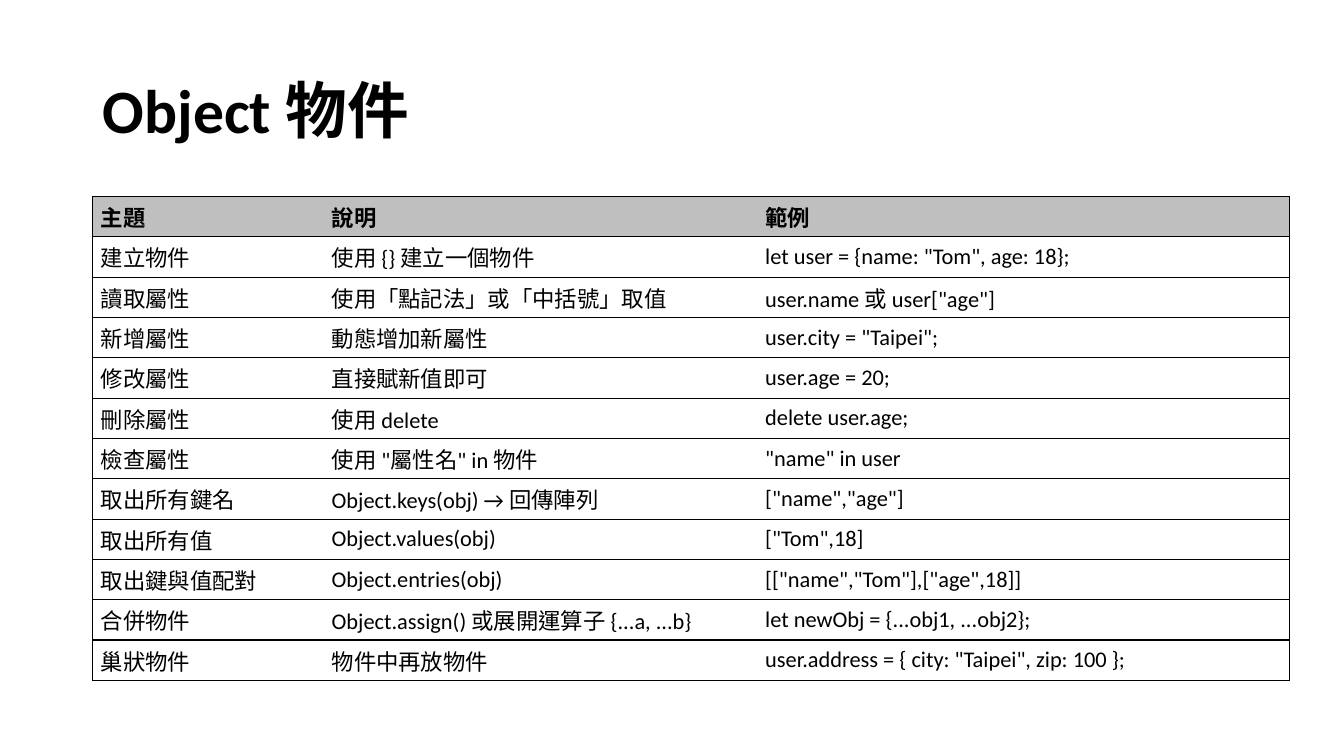
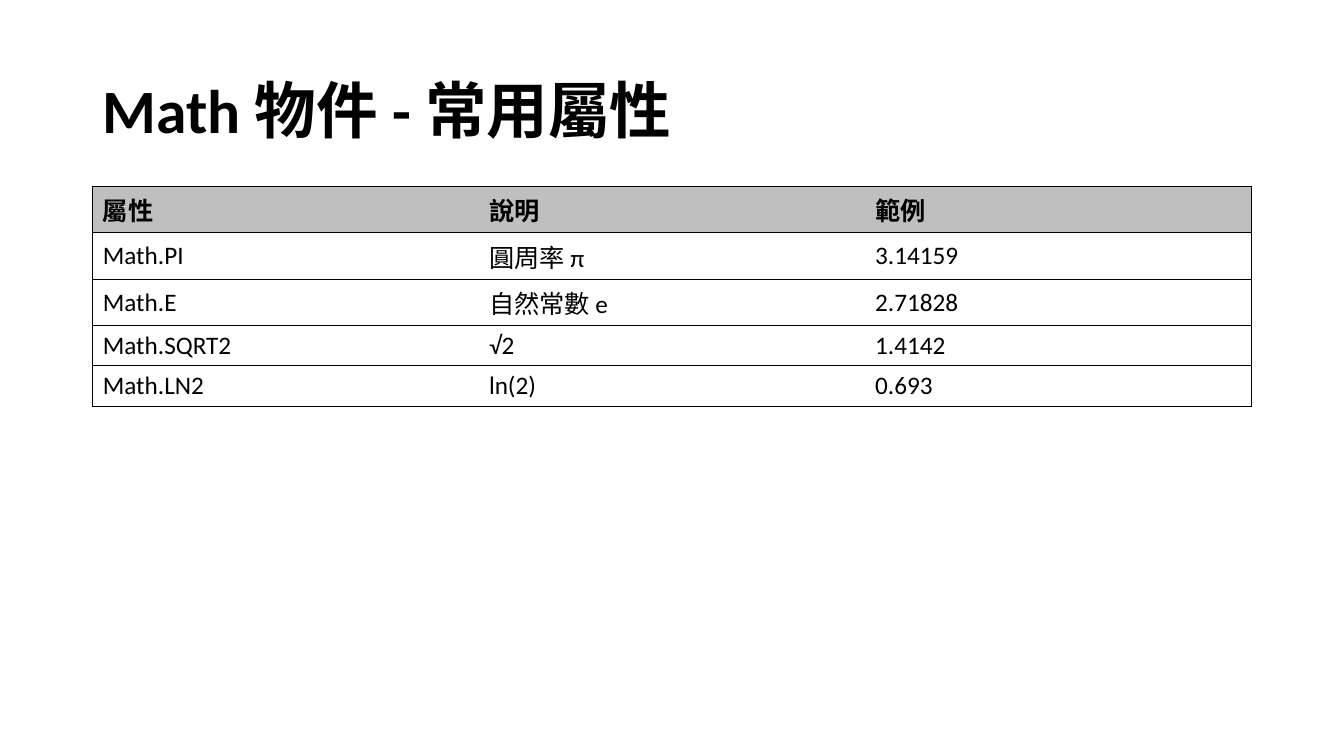
from lxml.etree import SubElement
from pptx import Presentation
from pptx.dml.color import RGBColor
from pptx.enum.lang import MSO_LANGUAGE_ID
from pptx.enum.text import MSO_ANCHOR
from pptx.oxml import parse_xml
from pptx.oxml.ns import nsdecls, qn
from pptx.util import Inches, Pt

BLACK = RGBColor(0x00, 0x00, 0x00)
GRAY = RGBColor(0xBF, 0xBF, 0xBF)
WHITE = RGBColor(0xFF, 0xFF, 0xFF)
FONT = "Calibri"

# Page grid, in inches
WIDTH, HEIGHT = 13.33, 7.5
LEFT = 0.92
SPAN = WIDTH - 2 * LEFT

# Each slide: title, table top, text size, side and top insets,
# column widths, row heights, rows
PAGES = [
    ("Object 物件", 1.95, 16, (0.08, 0.04), [2.29, 4.3, 5.28], [0.4] * 12, [
        ("主題", "說明", "範例"),
        ("建立物件", "使用 {} 建立一個物件", 'let user = {name: "Tom", age: 18};'),
        ("讀取屬性", "使用「點記法」或「中括號」取值", 'user.name 或 user["age"]'),
        ("新增屬性", "動態增加新屬性", 'user.city = "Taipei";'),
        ("修改屬性", "直接賦新值即可", "user.age = 20;"),
        ("刪除屬性", "使用 delete", "delete user.age;"),
        ("檢查屬性", '使用 "屬性名" in 物件', '"name" in user'),
        ("取出所有鍵名", "Object.keys(obj) → 回傳陣列", '["name","age"]'),
        ("取出所有值", "Object.values(obj)", '["Tom",18]'),
        ("取出鍵與值配對", "Object.entries(obj)", '[["name","Tom"],["age",18]]'),
        ("合併物件", "Object.assign() 或展開運算子 {...a, ...b}",
         "let newObj = {...obj1, ...obj2};"),
        ("巢狀物件", "物件中再放物件", 'user.address = { city: "Taipei", zip: 100 };'),
    ]),
    ("Math 物件 - 常用屬性", 1.85, 18, (0.1, 0.05), [SPAN / 3] * 3,
     [0.46] * 3 + [0.4] * 2, [
        ("屬性", "說明", "範例"),
        ("Math.PI", "圓周率 π", "3.14159"),
        ("Math.E", "自然常數 e", "2.71828"),
        ("Math.SQRT2", "√2", "1.4142"),
        ("Math.LN2", "ln(2)", "0.693"),
    ]),
]


def write(para, text, size, bold):
    run = para.add_run()
    run.text = text
    font = run.font
    font.name, font.size, font.bold = FONT, Pt(size), bold
    font.color.rgb = BLACK
    font.language_id = MSO_LANGUAGE_ID.TRADITIONAL_CHINESE


def border(cell, sides):
    """Draw the named sides in black and clear the others."""
    props = cell._tc.get_or_add_tcPr()
    for spot, side in enumerate("LRTB"):
        line = parse_xml(f'<a:ln{side} {nsdecls("a")} w="{Pt(1)}"/>')
        if side in sides:
            fill = SubElement(line, qn("a:solidFill"))
            SubElement(fill, qn("a:srgbClr")).set("val", str(BLACK))
        else:
            SubElement(line, qn("a:noFill"))
        props.insert(spot, line)


deck = Presentation()
deck.slide_width, deck.slide_height = Inches(WIDTH), Inches(HEIGHT)

for title, top, size, (side, edge), cols, tall, rows in PAGES:
    slide = deck.slides.add_slide(deck.slide_layouts[6])

    # Title
    box = slide.shapes.add_textbox(
        Inches(LEFT), Inches(0.4), Inches(SPAN), Inches(1.45))
    frame = box.text_frame
    frame.word_wrap = True
    frame.vertical_anchor = MSO_ANCHOR.MIDDLE
    para = frame.paragraphs[0]
    para.line_spacing = 0.9
    write(para, title, 44, True)

    # Table grid
    table = slide.shapes.add_table(
        len(rows), len(cols), Inches(LEFT), Inches(top),
        Inches(sum(cols)), Inches(sum(tall))).table
    table.horz_banding = False
    for col, wide in zip(table.columns, cols):
        col.width = Inches(wide)
    for row, high in zip(table.rows, tall):
        row.height = Inches(high)

    # Cells: gray bold header, outer frame and row rules
    for r, row in enumerate(rows):
        for c, text in enumerate(row):
            cell = table.cell(r, c)
            cell.vertical_anchor = MSO_ANCHOR.MIDDLE
            cell.margin_left = cell.margin_right = Inches(side)
            cell.margin_top = cell.margin_bottom = Inches(edge)
            cell.fill.solid()
            cell.fill.fore_color.rgb = GRAY if r == 0 else WHITE
            ends = {0: "L", len(cols) - 1: "R"}
            border(cell, "TB" + ends.get(c, ""))
            write(cell.text_frame.paragraphs[0], text, size, r == 0)

deck.save("out.pptx")
